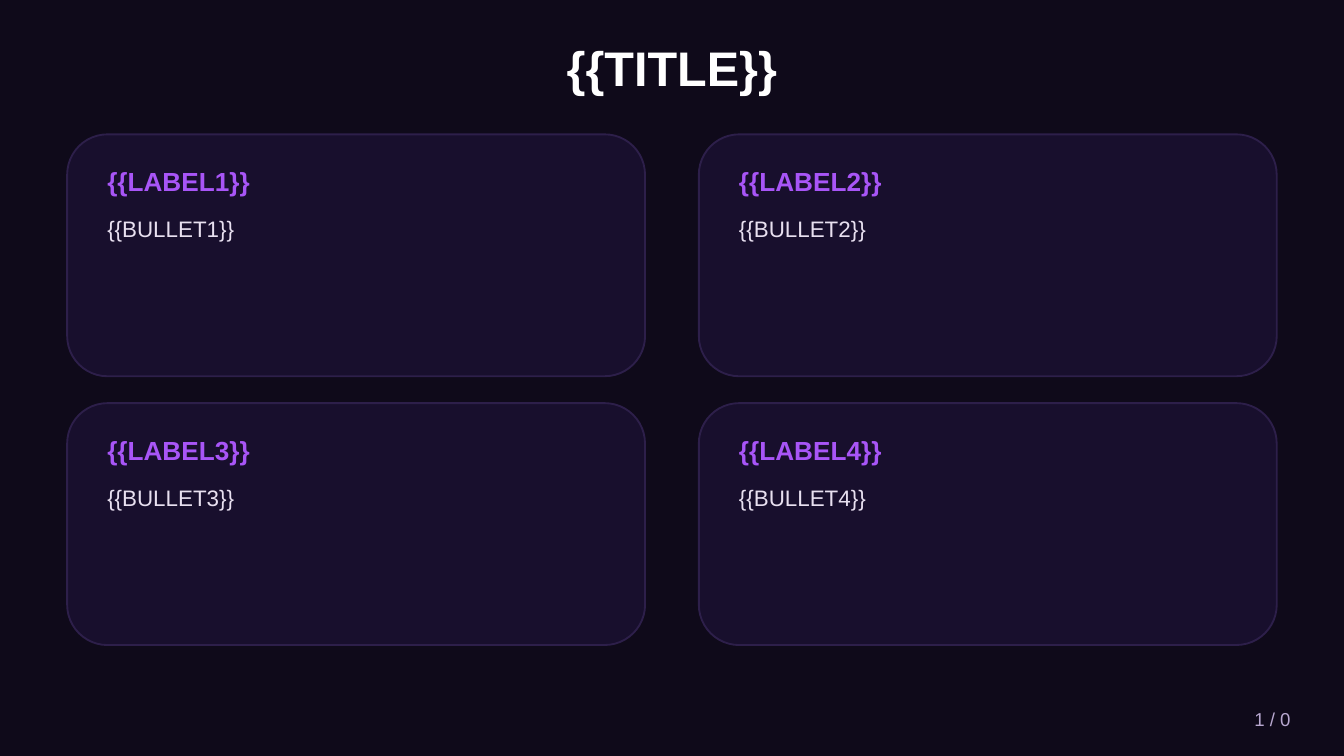
"""Build a dark title slide with a two-by-two grid of labelled cards."""
from lxml.etree import SubElement
from pptx import Presentation
from pptx.dml.color import RGBColor
from pptx.enum.shapes import MSO_SHAPE
from pptx.enum.text import MSO_ANCHOR as ANCHOR, PP_ALIGN as ALIGN
from pptx.oxml.ns import qn
from pptx.util import Inches, Pt

TITLE = "{{TITLE}}"
CARDS = [
    ("{{LABEL1}}", "{{BULLET1}}"),
    ("{{LABEL2}}", "{{BULLET2}}"),
    ("{{LABEL3}}", "{{BULLET3}}"),
    ("{{LABEL4}}", "{{BULLET4}}"),
]
PAGE_NUMBER = "1 / 0"

FONT = "Arial"
BACKGROUND = RGBColor(0x0F, 0x0A, 0x1A)
CARD_FILL = RGBColor(0x1A, 0x10, 0x30)
CARD_LINE = RGBColor(0x2D, 0x1F, 0x4A)
WHITE = RGBColor(0xFF, 0xFF, 0xFF)
PURPLE = RGBColor(0xA8, 0x55, 0xF7)
PALE = RGBColor(0xE8, 0xE0, 0xF0)
MUTED = RGBColor(0xB8, 0xA8, 0xD0)

SLIDE_W = 10
SLIDE_H = SLIDE_W * 9 / 16
COLUMNS = 2
LEFT, TOP = 0.5, 1
CARD_W, CARD_H = 4.3, 1.8
GAP_X, GAP_Y = 0.4, 0.2
PAD = 0.2
OPACITY = 90


def add_text(s, text, x, y, w, h, size, color, bold=False,
             align=ALIGN.LEFT, anchor=ANCHOR.MIDDLE):
    tf = s.shapes.add_textbox(Inches(x), Inches(y), Inches(w), Inches(h)).text_frame
    tf.word_wrap = True
    tf.vertical_anchor = anchor
    p = tf.paragraphs[0]
    p.text = text
    p.alignment = align
    font = p.runs[0].font
    font.name, font.size, font.bold = FONT, Pt(size), bold
    font.color.rgb = color


def add_card(s, x, y, label, bullet):
    sp = s.shapes.add_shape(MSO_SHAPE.ROUNDED_RECTANGLE, Inches(x), Inches(y),
                            Inches(CARD_W), Inches(CARD_H))
    sp.shadow.inherit = False
    sp.fill.solid()
    sp.fill.fore_color.rgb = CARD_FILL
    color = sp.element.spPr.find(qn("a:solidFill"))[0]
    SubElement(color, qn("a:alpha")).set("val", str(OPACITY * 1000))
    sp.line.color.rgb = CARD_LINE
    sp.line.width = Pt(1)
    text_w = CARD_W - 2 * PAD
    add_text(s, label, x + PAD, y + 0.15, text_w, 0.4, 14, PURPLE, bold=True)
    add_text(s, bullet, x + PAD, y + 0.55, text_w, 1, 12, PALE, anchor=ANCHOR.TOP)


def main():
    prs = Presentation()
    prs.slide_width, prs.slide_height = Inches(SLIDE_W), Inches(SLIDE_H)
    s = prs.slides.add_slide(prs.slide_layouts[6])
    s.background.fill.solid()
    s.background.fill.fore_color.rgb = BACKGROUND

    add_text(s, TITLE, LEFT, 0.2, SLIDE_W - 2 * LEFT, 0.6, 26, WHITE,
             bold=True, align=ALIGN.CENTER)
    for i, (label, bullet) in enumerate(CARDS):
        row, col = divmod(i, COLUMNS)
        add_card(s, LEFT + col * (CARD_W + GAP_X), TOP + row * (CARD_H + GAP_Y),
                 label, bullet)
    add_text(s, PAGE_NUMBER, 8.5, 5.2, 1.2, 0.3, 10, MUTED, align=ALIGN.RIGHT)
    prs.save("out.pptx")


if __name__ == "__main__":
    main()
